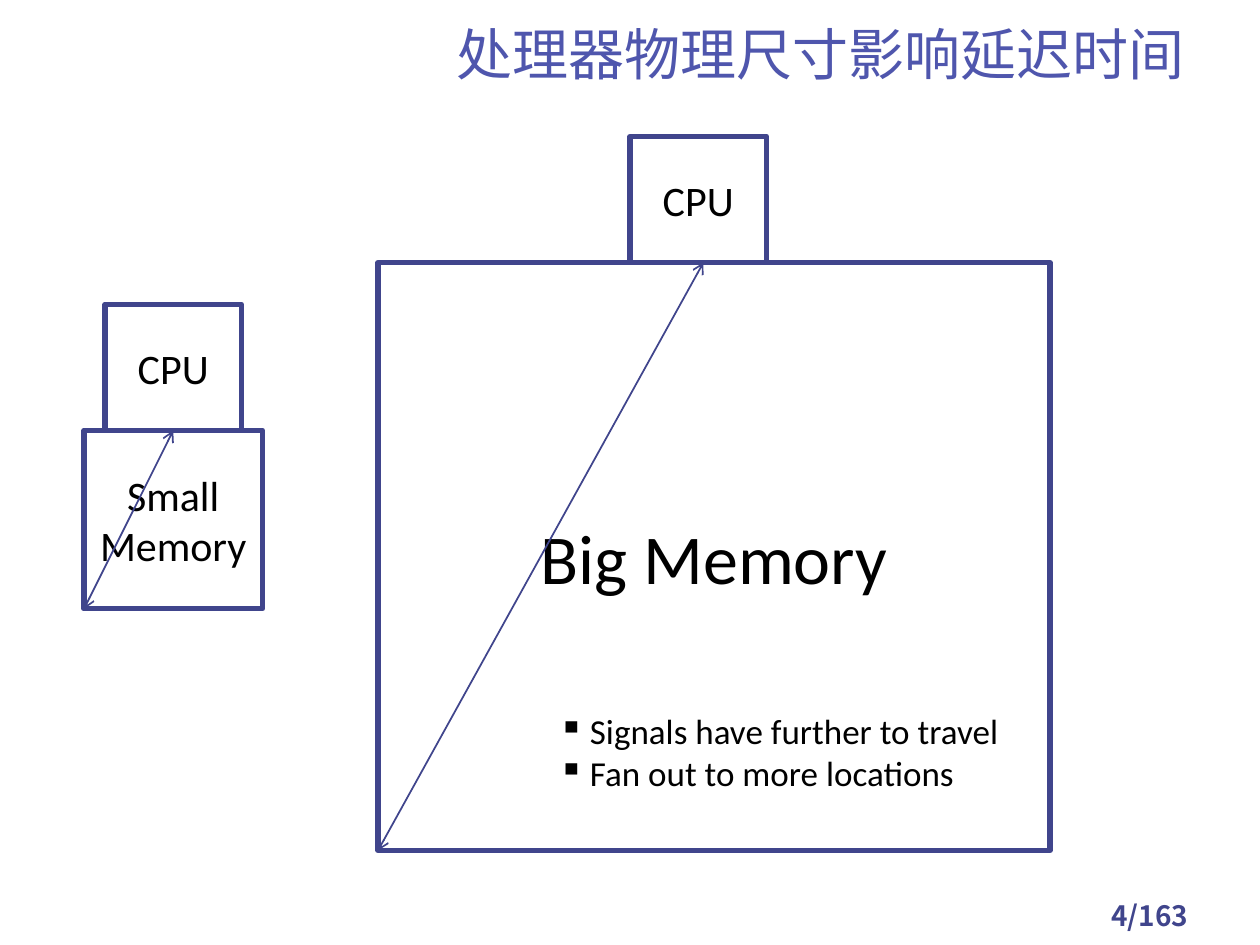
from lxml.etree import SubElement
from pptx import Presentation
from pptx.dml.color import RGBColor
from pptx.enum.shapes import MSO_CONNECTOR as Connector, MSO_SHAPE as Shape
from pptx.enum.text import MSO_ANCHOR as Anchor, PP_ALIGN as Align
from pptx.oxml.ns import qn
from pptx.util import Inches, Pt

COLORS = {"title": "4F56AD", "line": "40458C", "box": "FFFFFF", "text": "000000"}
UNIT = Inches(10) / 120  # the slide is a grid of 120 columns and 90 rows
CPU_COLUMNS, CPU_ROWS = 13, 12
INSETS = (Inches(0.1), Inches(0.05))


def grid(*cells):
    return [round(cell * UNIT) for cell in cells]


def color(name):
    return RGBColor.from_string(COLORS[name])


def write(shape, text, size, font="Calibri", fill="text", align=Align.CENTER,
          anchor=Anchor.MIDDLE, insets=INSETS, bold=False):
    frame = shape.text_frame
    frame.word_wrap = True
    frame.vertical_anchor = anchor
    frame.margin_left = frame.margin_right = insets[0]
    frame.margin_top = frame.margin_bottom = insets[1]
    frame.text = text
    for paragraph in frame.paragraphs:
        paragraph.alignment = align
        for run in paragraph.runs:
            run.font.name = font
            run.font.size = Pt(size)
            run.font.bold = bold
            run.font.color.rgb = color(fill)
            SubElement(run.font._element, qn("a:ea"), typeface="Noto Sans CJK SC")


def add_block(group, box, text, size):
    block = group.shapes.add_shape(Shape.RECTANGLE, *grid(*box))
    block.shadow.inherit = False
    block.fill.solid()
    block.fill.fore_color.rgb = color("box")
    block.line.color.rgb = color("line")
    block.line.width = Pt(3)
    write(block, text, size)


def add_double_arrow(group, start, end):
    arrow = group.shapes.add_connector(Connector.STRAIGHT, *grid(*start, *end))
    arrow.line.color.rgb = color("line")
    arrow.line.width = Pt(1)
    properties = arrow._element.spPr
    outline = properties.find(qn("a:ln"))
    for tag in ("a:headEnd", "a:tailEnd"):
        SubElement(outline, qn(tag), type="arrow")
    SubElement(properties, qn("a:effectLst"))


def add_memory_system(slide, box, text, size, cpu_offset, arrow_offset):
    """Memory block with a CPU on its top edge and the longest signal route."""
    left, top, width, height = box
    group = slide.shapes.add_group_shape()
    add_block(group, box, text, size)
    add_double_arrow(group, (left, top + height), (left + arrow_offset, top))
    cpu_box = (left + cpu_offset, top - CPU_ROWS, CPU_COLUMNS, CPU_ROWS)
    add_block(group, cpu_box, "CPU", 24)


def add_title(slide, box):
    title = slide.shapes.add_textbox(*grid(*box))
    write(title, "处理器物理尺寸影响延迟时间", 32, font="Lato", fill="title",
          anchor=Anchor.BOTTOM, insets=(0, 0))


def add_page_number(slide, box):
    number = slide.shapes.add_textbox(*grid(*box))
    write(number, "4/163", 16, font="Noto Sans CJK SC", fill="line",
          anchor=Anchor.TOP, bold=True)


def add_reasons(slide, box):
    reasons = slide.shapes.add_textbox(*grid(*box))
    write(reasons, "Signals have further to travel\nFan out to more locations", 20,
          align=Align.LEFT, anchor=Anchor.TOP)
    indent = Inches(0.25)
    for paragraph in reasons.text_frame.paragraphs:
        properties = paragraph._p.get_or_add_pPr()
        properties.set("marL", str(indent))
        properties.set("indent", str(-indent))
        bullet_color = SubElement(properties, qn("a:buClr"))
        SubElement(bullet_color, qn("a:srgbClr"), val=COLORS["text"])
        SubElement(properties, qn("a:buChar"), char="▪")


def main():
    presentation = Presentation()
    presentation.slide_width, presentation.slide_height = grid(120, 90)
    slide = presentation.slides.add_slide(presentation.slide_layouts[6])

    # Header and footer
    add_page_number(slide, (101, 85, 17, 4))
    add_title(slide, (38.3, 3.25, 79.7, 5))

    # Small and big memory, side by side
    add_memory_system(slide, (8, 41, 17, 17), "Small Memory", 24, 2, 8.5)
    add_memory_system(slide, (36, 25, 64, 56), "Big Memory", 40, 24, 31)

    # Why the big memory is slower
    add_reasons(slide, (52, 67, 46, 9.25))

    presentation.save("out.pptx")


if __name__ == "__main__":
    main()
